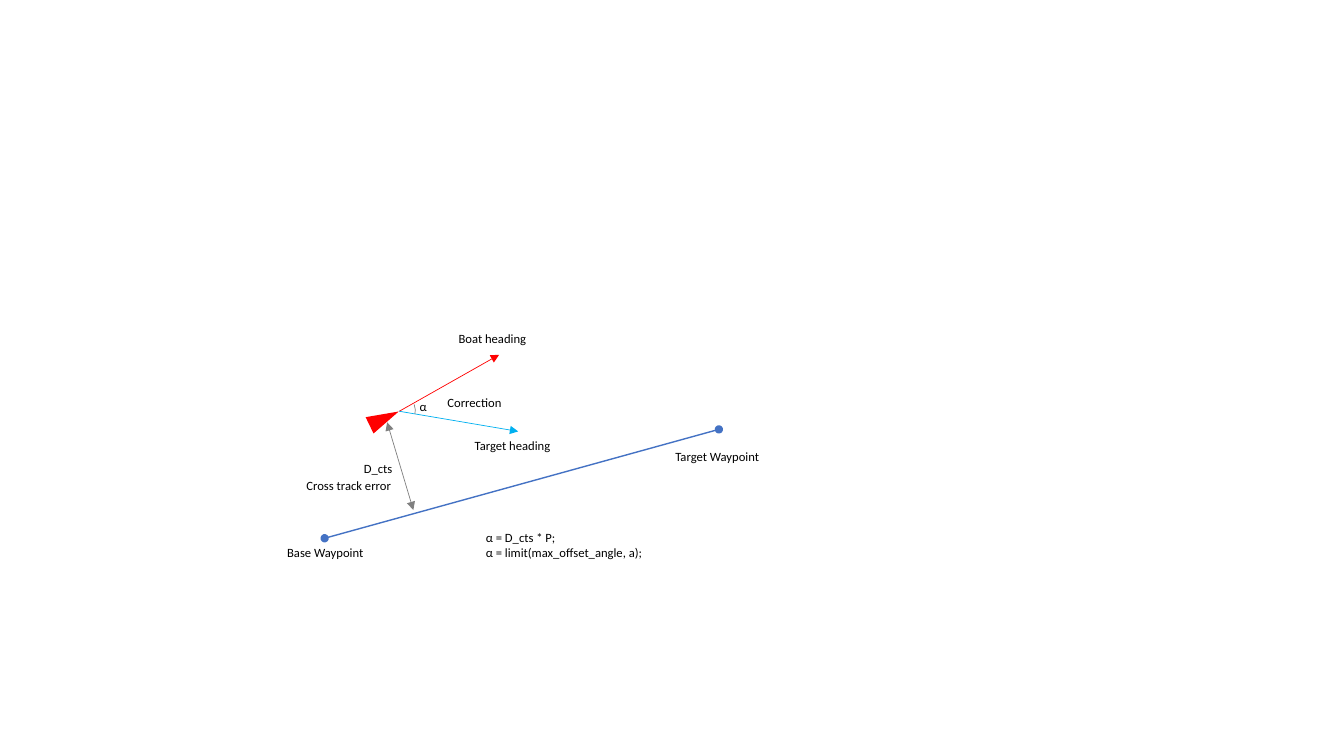
"""Draw the cross track correction diagram of a boat between two waypoints."""
from dataclasses import dataclass

from lxml.etree import SubElement
from pptx import Presentation
from pptx.dml.color import RGBColor
from pptx.enum.shapes import MSO_CONNECTOR as Connector, MSO_SHAPE as Preset
from pptx.enum.text import MSO_AUTO_SIZE as AutoSize
from pptx.oxml.ns import qn
from pptx.slide import Slide
from pptx.util import Inches, Pt

BLUE = RGBColor(0x44, 0x72, 0xC4)
RED = RGBColor(0xFF, 0x00, 0x00)
CYAN = RGBColor(0x00, 0xB0, 0xF0)
GRAY = RGBColor(0x80, 0x80, 0x80)
BLACK = RGBColor(0x00, 0x00, 0x00)

Point = tuple[float, float]
BOW: Point = (3.96, 4.08)


@dataclass(frozen=True)
class Line:
    start: Point
    end: Point
    color: RGBColor
    width: float = 0.5
    head: str = "none"
    tail: str = "triangle"


@dataclass(frozen=True)
class Label:
    text: str
    left: float
    top: float
    width: float
    height: float = 0.25
    wrap: bool = False


TRACK = Line((3.22, 5.34), (7.13, 4.26), BLUE, 1, "oval", "oval")
ARROWS = [
    Line(BOW, (4.95, 3.52), RED),
    Line(BOW, (5.14, 4.28), CYAN),
    Line((3.84, 4.19), (4.1, 5.06), GRAY, head="triangle"),
]
LABELS = [
    Label("D_cts", 3.51, 4.52, 0.49),
    Label("α", 4.07, 3.91, 0.19, wrap=True),
    Label("Base Waypoint", 2.75, 5.36, 0.97),
    Label("Target Waypoint", 6.6, 4.4, 1.06),
    Label("Boat heading", 4.45, 3.23, 0.88),
    Label("Target heading", 4.61, 4.29, 0.97),
    Label("Correction", 4.34, 3.87, 0.74),
    Label("Cross track error", 2.94, 4.69, 1.05),
    Label("α = D_cts * P;\nα = limit(max_offset_angle, a);", 4.72, 5.21, 2.15, 0.56, True),
]


def draw_line(page: Slide, line: Line) -> None:
    ends = [Inches(value) for value in (*line.start, *line.end)]
    connector = page.shapes.add_connector(Connector.STRAIGHT, *ends)
    connector.line.color.rgb = line.color
    connector.line.width = Pt(line.width)
    outline = connector.line._get_or_add_ln()
    for tag, kind in (("a:headEnd", line.head), ("a:tailEnd", line.tail)):
        SubElement(outline, qn(tag)).set("type", kind)
    SubElement(connector._element.spPr, qn("a:effectLst"))


def draw_boat(page: Slide) -> None:
    boat = page.shapes.add_shape(
        Preset.ISOSCELES_TRIANGLE, Inches(3.72), Inches(3.99), Inches(0.18), Inches(0.32)
    )
    boat.adjustments[0] = 0.514
    boat.rotation = 64.2
    boat.fill.solid()
    boat.fill.fore_color.rgb = RED
    boat.line.fill.background()
    boat.shadow.inherit = False


def draw_angle(page: Slide) -> None:
    arc = page.shapes.add_shape(
        Preset.ARC, Inches(3.73), Inches(3.89), Inches(0.39), Inches(0.36)
    )
    arc.adjustments[0] = 198.657
    arc.adjustments[1] = 0
    arc.rotation = 11.5
    arc.fill.background()
    arc.line.color.rgb = GRAY
    arc.line.width = Pt(0.5)
    arc.shadow.inherit = False


def write_text(page: Slide, label: Label, *, size: float = 9, font: str = "Calibri",
               color: RGBColor = BLACK) -> None:
    area = (label.left, label.top, label.width, label.height)
    box = page.shapes.add_textbox(*map(Inches, area))
    frame = box.text_frame
    frame.word_wrap = label.wrap
    frame.auto_size = AutoSize.SHAPE_TO_FIT_TEXT
    frame.text = label.text
    for para in frame.paragraphs:
        for span in para.runs:
            span.font.size = Pt(size)
            span.font.name = font
            span.font.color.rgb = color


def main() -> None:
    deck = Presentation()
    deck.slide_width, deck.slide_height = Inches(13.33), Inches(7.5)
    page = deck.slides.add_slide(deck.slide_layouts[6])
    draw_line(page, TRACK)
    draw_boat(page)
    for arrow in ARROWS:
        draw_line(page, arrow)
    draw_angle(page)
    for label in LABELS:
        write_text(page, label)
    deck.save("out.pptx")


if __name__ == "__main__":
    main()
